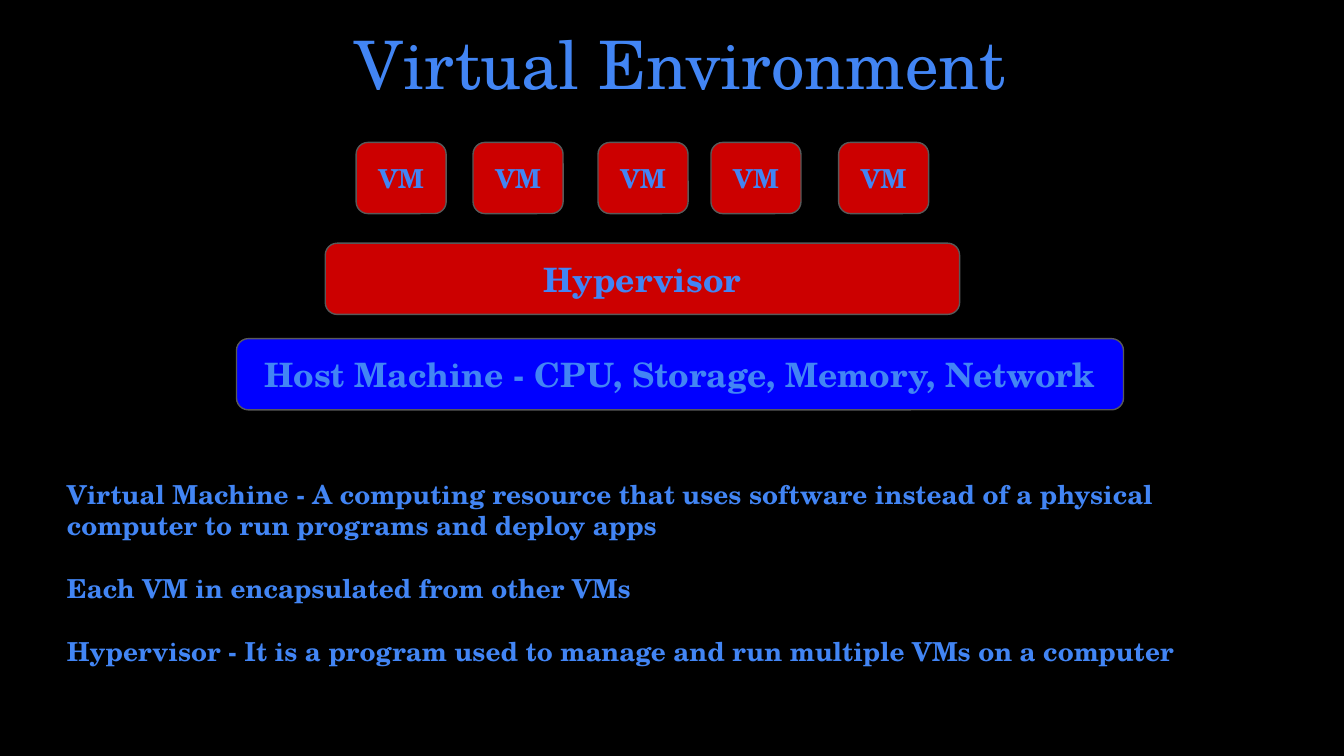
"""Build the Virtual Environment slide."""
from pptx import Presentation
from pptx.dml.color import RGBColor
from pptx.enum.shapes import MSO_SHAPE as Shape
from pptx.enum.text import MSO_ANCHOR as Anchor, PP_ALIGN as Align
from pptx.util import Inches, Pt

FONT = "TeX Gyre Schola"
BLACK, TEXT_BLUE, RED, BLUE, GRAY = "000000", "4285F4", "CC0000", "0000FF", "595959"

TITLE = "Virtual Environment"
LAYERS = [
    ("Host Machine - CPU, Storage, Memory, Network", 1.76, 2.52, 6.6, BLUE, 18),
    ("Hypervisor", 2.42, 1.81, 4.72, RED, 18),
]
VM_LEFTS = [2.65, 3.52, 4.45, 5.29, 6.24]
VMS = [("VM", left, 1.06, 0.67, RED, 14) for left in VM_LEFTS]
BOX_HEIGHT = 0.53
DEFINITIONS = [
    "Virtual Machine - A computing resource that uses software instead of a "
    "physical computer to run programs and deploy apps",
    "Each VM in encapsulated from other VMs",
    "Hypervisor - It is a program used to manage and run multiple VMs on a computer",
]


def color(value):
    return RGBColor.from_string(value)


def write(shape, *lines, size=14, bold=True, align=Align.CENTER,
          anchor=Anchor.MIDDLE, gap=0):
    frame = shape.text_frame
    frame.word_wrap = True
    frame.vertical_anchor = anchor
    frame.margin_left = frame.margin_right = Inches(0.1)
    frame.margin_top = frame.margin_bottom = Inches(0.1)
    for index, line in enumerate(lines):
        paragraph = frame.add_paragraph() if index else frame.paragraphs[0]
        paragraph.alignment = align
        paragraph.space_before = Pt(gap if index else 0)
        run = paragraph.add_run()
        run.text = line
        run.font.name = FONT
        run.font.size = Pt(size)
        run.font.bold = bold
        run.font.color.rgb = color(TEXT_BLUE)


def add_box(slide, label, left, top, width, fill, size):
    box = slide.shapes.add_shape(Shape.ROUNDED_RECTANGLE, Inches(left), Inches(top),
                                 Inches(width), Inches(BOX_HEIGHT))
    box.shadow.inherit = False
    box.fill.solid()
    box.fill.fore_color.rgb = color(fill)
    box.line.color.rgb = color(GRAY)
    box.line.width = Pt(0.75)
    write(box, label, size=size)


def main():
    deck = Presentation()
    deck.slide_width = Inches(10)
    deck.slide_height = Inches(10 * 9 / 16)
    slide = deck.slides.add_slide(deck.slide_layouts[6])
    slide.background.fill.solid()
    slide.background.fill.fore_color.rgb = color(BLACK)

    title = slide.shapes.add_textbox(Inches(0.4), Inches(0.15), Inches(9.32), Inches(0.63))
    write(title, TITLE, size=35.8, bold=False)
    for box in LAYERS + VMS:
        add_box(slide, *box)
    definitions = slide.shapes.add_textbox(Inches(0.4), Inches(3.46), Inches(8.93), Inches(1.62))
    write(definitions, *DEFINITIONS, align=Align.LEFT, anchor=Anchor.TOP, gap=16.8)

    deck.save("out.pptx")


if __name__ == "__main__":
    main()
